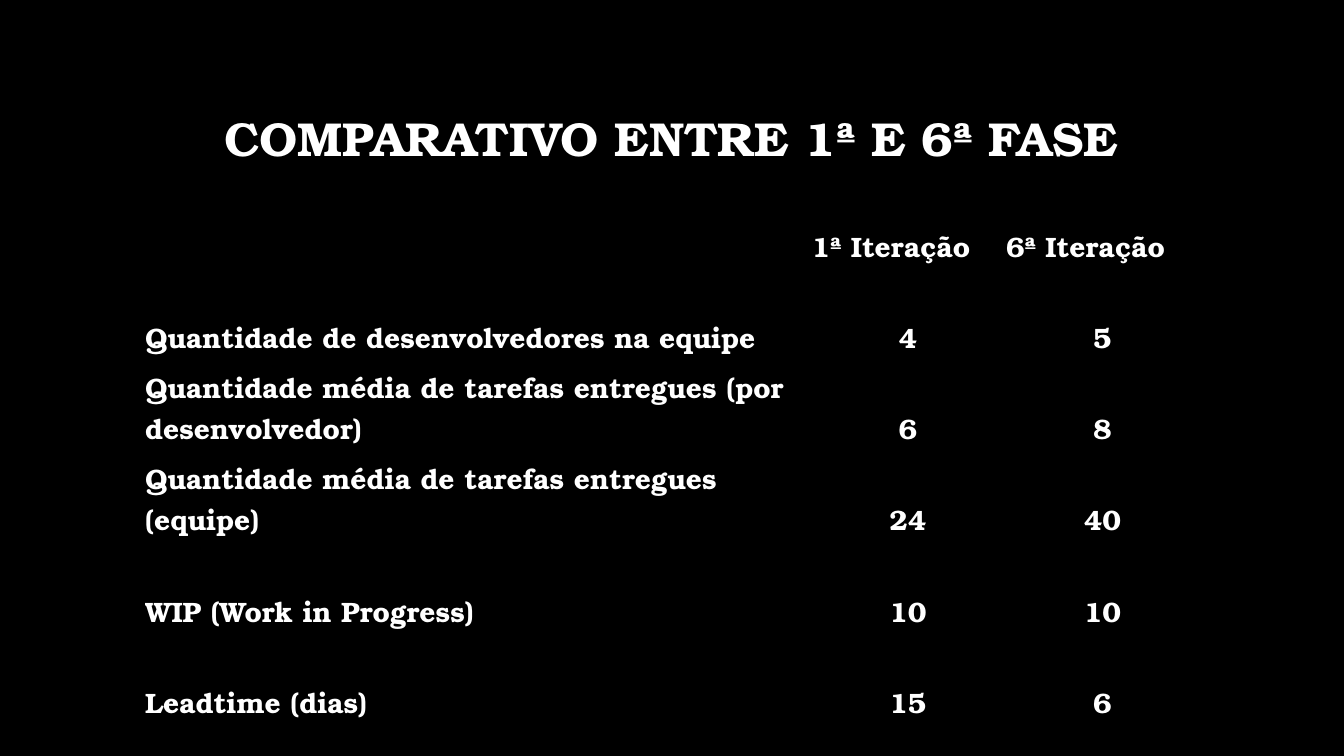
from lxml import etree
from pptx import Presentation
from pptx.dml.color import RGBColor
from pptx.enum import text
from pptx.oxml.ns import qn
from pptx.util import Inches, Pt

TITLE = "COMPARATIVO ENTRE 1ª E 6ª FASE"
ROWS = [
    ("", "1ª Iteração", "6ª Iteração"),
    ("Quantidade de desenvolvedores na equipe", "4", "5"),
    ("Quantidade média de tarefas entregues (por desenvolvedor)", "6", "8"),
    ("Quantidade média de tarefas entregues (equipe)", "24", "40"),
    ("WIP (Work in Progress)", "10", "10"),
    ("Leadtime (dias)", "15", "6"),
]
COL_WIDTHS = (6.61, 1.93, 1.93)
TABLE_HEIGHT = 5.42
FONT, BLACK, WHITE = "TeX Gyre Bonum", "000000", "FFFFFF"


def paint(fill, color):
    fill.solid()
    fill.fore_color.rgb = RGBColor.from_string(color)


def style(p, size, align):
    p.alignment = align
    p.font.name, p.font.size, p.font.bold = FONT, Pt(size), True
    paint(p.font.fill, WHITE)


def add_borders(cell, color):
    tc_pr = cell._tc.get_or_add_tcPr()
    for i, side in enumerate(("lnL", "lnR", "lnT", "lnB")):
        ln = etree.Element(qn("a:" + side), w=str(Pt(0.5)))
        fill = etree.SubElement(ln, qn("a:solidFill"))
        etree.SubElement(fill, qn("a:srgbClr"), val=color)
        tc_pr.insert(i, ln)


prs = Presentation()
prs.slide_width, prs.slide_height = Inches(13.33), Inches(7.5)
s = prs.slides.add_slide(prs.slide_layouts[6])
paint(s.background.fill, BLACK)

# Comparison table
frame = s.shapes.add_table(len(ROWS), len(COL_WIDTHS), Inches(1.43), Inches(1.74),
                           Inches(sum(COL_WIDTHS)), Inches(TABLE_HEIGHT))
table = frame.table
table.first_row = table.horz_banding = False
for column, width in zip(table.columns, COL_WIDTHS):
    column.width = Inches(width)
for r, values in enumerate(ROWS):
    for c, value in enumerate(values):
        cell = table.cell(r, c)
        cell.text = value
        cell.vertical_anchor = text.MSO_ANCHOR.BOTTOM
        cell.margin_left = cell.margin_right = cell.margin_top = Inches(0.01)
        cell.margin_bottom = 0
        is_number = r > 0 and c > 0
        style(cell.text_frame.paragraphs[0], 20,
              text.PP_ALIGN.CENTER if is_number else text.PP_ALIGN.LEFT)
        paint(cell.fill, BLACK)
        add_borders(cell, BLACK)

# Title
tf = s.shapes.add_textbox(Inches(1), Inches(0.67), Inches(11.32), Inches(1.45)).text_frame
tf.word_wrap = True
tf.vertical_anchor = text.MSO_ANCHOR.MIDDLE
p = tf.paragraphs[0]
p.text = TITLE
p.line_spacing = 0.9
style(p, 34, text.PP_ALIGN.CENTER)

prs.save("out.pptx")
